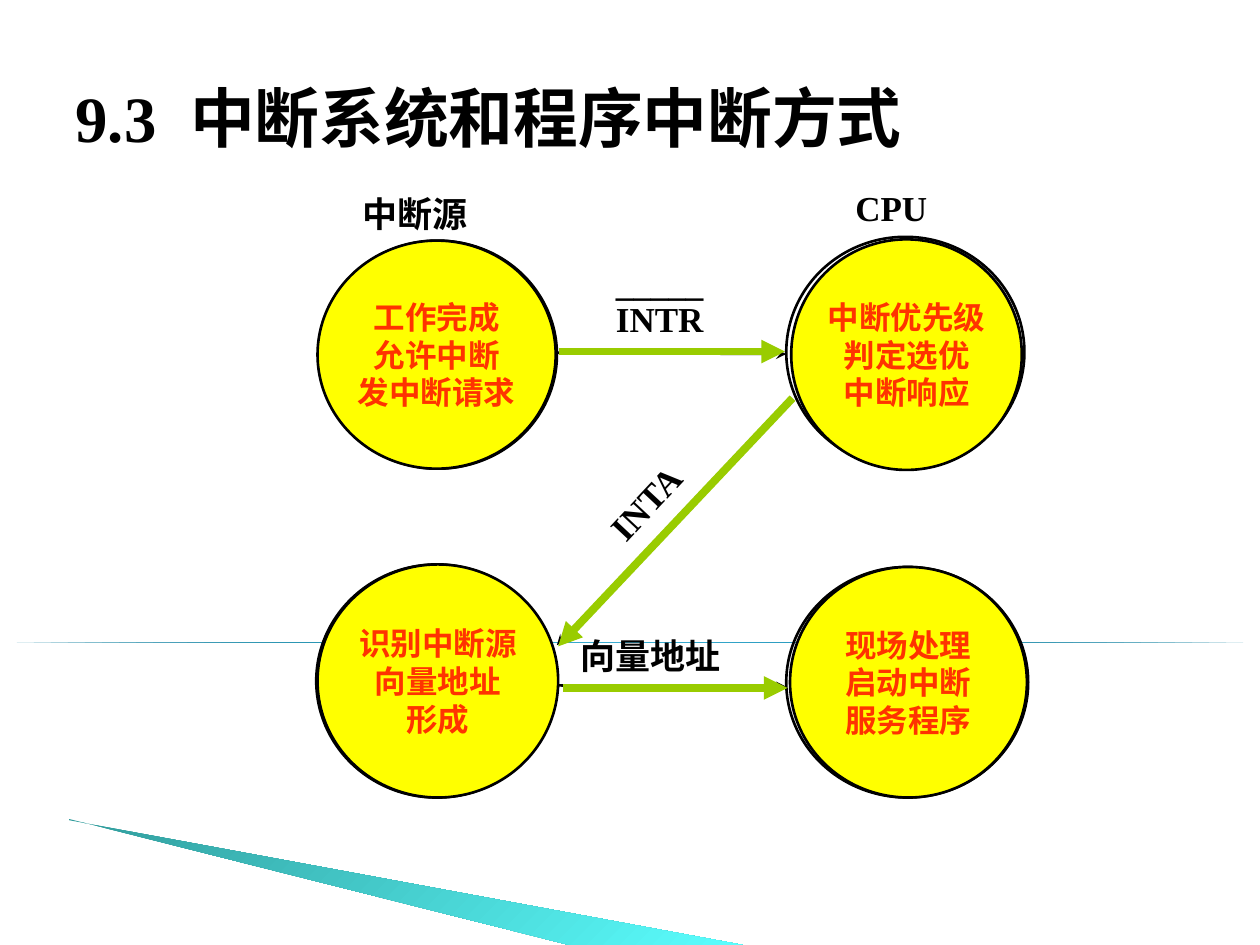
from lxml import etree
from pptx import Presentation
from pptx.dml.color import RGBColor
from pptx.enum.shapes import MSO_CONNECTOR, MSO_SHAPE
from pptx.enum.text import MSO_ANCHOR, MSO_AUTO_SIZE, PP_ALIGN
from pptx.oxml.ns import qn
from pptx.util import Inches, Pt

OVAL = MSO_SHAPE.OVAL
RIGHT_TRIANGLE = MSO_SHAPE.RIGHT_TRIANGLE
STRAIGHT = MSO_CONNECTOR.STRAIGHT
TOP, MIDDLE = MSO_ANCHOR.TOP, MSO_ANCHOR.MIDDLE
LEFT, CENTER = PP_ALIGN.LEFT, PP_ALIGN.CENTER
NO_AUTOFIT = MSO_AUTO_SIZE.NONE

BLACK = RGBColor(0x00, 0x00, 0x00)
YELLOW = RGBColor(0xFF, 0xFF, 0x00)
RED = RGBColor(0xFF, 0x33, 0x00)
GREEN = RGBColor(0x99, 0xCC, 0x00)
DARK_BLUE = RGBColor(0x00, 0x78, 0x97)
LIGHT_BLUE = RGBColor(0x4A, 0xBB, 0xE0)
DARK_TEAL = RGBColor(0x31, 0x9C, 0x9C)
CYAN = RGBColor(0x5B, 0xFF, 0xFF)

LATIN_FONT = "Times New Roman"
CHINESE_FONT = "Noto Sans CJK SC"
SLIDE_WIDTH, SLIDE_HEIGHT = Inches(10), Inches(7.5)
COLUMN, ROW = SLIDE_WIDTH / 100, SLIDE_HEIGHT / 75

TITLE = "9.3\t中断系统和程序中断方式"
TITLE_BOX = (5, 3, 90, 12.5)
TITLE_TAB = 9.1
HORIZON_BOX = (0, 51, 100, 0)
WEDGE = [(5.5, 65.1), (59.5, 75.1), (45.6, 75.1), (5.5, 65)]

STAGES = [
    {"lines": ["工作完成", "允许中断", "发中断请求"],
     "outline": (25.3, 19.1, 18.9, 18.1), "disc": (25.2, 19.1, 18.9, 18.1)},
    {"lines": ["中断优先级", "判定选优", "中断响应"],
     "outline": (62.4, 18.8, 18.9, 18.3), "disc": (62.8, 19, 18.3, 18.3)},
    {"lines": ["识别中断源", "向量地址", "形成"],
     "outline": (25.1, 44.8, 19.1, 18.5), "disc": (25.2, 44.8, 19.1, 18.5)},
    {"lines": ["现场处理", "启动中断", "服务程序"],
     "outline": (62.4, 45, 19.2, 18.3), "disc": (62.7, 45, 18.8, 18.3)},
]
THIN_ARROWS = [((44.2, 28), (62.4, 28.1)), ((44.2, 54.4), (62.4, 54.5)),
               ((62.4, 32), (44.2, 51.2))]
THICK_ARROWS = [((44.7, 54.6), (62.5, 54.6)), ((62.9, 31.6), (44.3, 51.3)),
                ((44.4, 27.9), (62.3, 27.9))]
LABELS = [
    (["向量地址"], (45.1, 49.6, 18.2, 4.4), {"line_spacing": Pt(26)}),
    (["_____", "INTR"], (47.9, 20.3, 14.6, 6.8), {"later_spacing": 0.2, "space_before": 12.5}),
    (["INTA"], (44.2, 37.7, 14, 4.4), {"rotation": 313.1, "align": CENTER, "anchor": MIDDLE}),
    (["中断源"], (27.8, 14.5, 16.6, 4.4), {"line_spacing": Pt(26)}),
    (["CPU"], (66.9, 14.3, 16, 4.4), {}),
]


def place(left, top, width, height):
    return tuple(round(value) for value in (left * COLUMN, top * ROW, width * COLUMN, height * ROW))


def write_text(shape, lines, size=20, color=BLACK, align=LEFT, anchor=TOP, wrap=True,
               line_spacing=None, later_spacing=None, space_before=0, rotation=0):
    shape.rotation = rotation
    frame = shape.text_frame
    frame.auto_size = NO_AUTOFIT
    frame.word_wrap = wrap
    frame.vertical_anchor = anchor
    for index, line in enumerate(lines):
        paragraph = frame.add_paragraph() if index else frame.paragraphs[0]
        paragraph.alignment = align
        paragraph.space_before = Pt(space_before if index else 0)
        paragraph.line_spacing = later_spacing if index and later_spacing else line_spacing
        run = paragraph.add_run()
        run.text = line
        run.font.name = LATIN_FONT
        run.font.size = Pt(size)
        run.font.bold = True
        run.font.color.rgb = color
        east_asian = etree.Element(qn("a:ea"), typeface=CHINESE_FONT)
        run.font._element.find(qn("a:latin")).addnext(east_asian)


def fill_gradient(shape, colors, angle):
    shape.shadow.inherit = False
    shape.line.fill.background()
    shape.fill.gradient()
    gradient = shape._element.spPr.find(qn("a:gradFill"))
    stops = gradient.find(qn("a:gsLst"))
    for stop in list(stops):
        stops.remove(stop)
    for index, color in enumerate(colors):
        position = round(100000 * index / (len(colors) - 1))
        stop = etree.SubElement(stops, qn("a:gs"), pos=str(position))
        etree.SubElement(stop, qn("a:srgbClr"), val=str(color))
    gradient.find(qn("a:lin")).set("ang", str(angle * 60000))


def add_circle(slide, box, fill=None):
    circle = slide.shapes.add_shape(OVAL, *place(*box))
    circle.shadow.inherit = False
    circle.line.color.rgb = BLACK
    circle.line.width = Pt(1.5)
    if fill is None:
        circle.fill.background()
    else:
        circle.fill.solid()
        circle.fill.fore_color.rgb = fill
    return circle


def add_arrow(slide, start, end, color, width, head):
    points = [round(value) for x, y in (start, end) for value in (x * COLUMN, y * ROW)]
    arrow = slide.shapes.add_connector(STRAIGHT, *points)
    arrow.line.color.rgb = color
    arrow.line.width = Pt(width)
    etree.SubElement(arrow.line._get_or_add_ln(), qn("a:tailEnd"), type=head)
    etree.SubElement(arrow._element.spPr, qn("a:effectLst"))


def add_backdrop(slide):
    horizon = slide.shapes.add_shape(RIGHT_TRIANGLE, *place(*HORIZON_BOX))
    fill_gradient(horizon, [DARK_BLUE, LIGHT_BLUE, DARK_BLUE], 50)
    points = [(round(x * COLUMN), round(y * ROW)) for x, y in WEDGE]
    builder = slide.shapes.build_freeform(*points[0])
    builder.add_line_segments(points[1:], close=True)
    fill_gradient(builder.convert_to_shape(), [DARK_TEAL, CYAN], 45)


def add_title(slide):
    title = slide.shapes.title
    title.left, title.top, title.width, title.height = place(*TITLE_BOX)
    properties = title.text_frame.paragraphs[0]._p.get_or_add_pPr()
    tabs = etree.SubElement(properties, qn("a:tabLst"))
    etree.SubElement(tabs, qn("a:tab"), pos=str(round(TITLE_TAB * COLUMN)), algn="l")
    write_text(title, [TITLE], size=37, anchor=MIDDLE)


def main():
    presentation = Presentation()
    presentation.slide_width, presentation.slide_height = SLIDE_WIDTH, SLIDE_HEIGHT
    slide = presentation.slides.add_slide(presentation.slide_layouts[5])
    add_backdrop(slide)
    add_title(slide)
    for stage in STAGES:
        add_circle(slide, stage["outline"])
    for start, end in THIN_ARROWS:
        add_arrow(slide, start, end, BLACK, 1.5, "stealth")
    for lines, box, text_format in LABELS:
        write_text(slide.shapes.add_textbox(*place(*box)), lines, **text_format)
    for start, end in THICK_ARROWS:
        add_arrow(slide, start, end, GREEN, 4.5, "triangle")
    for stage in STAGES:
        disc = add_circle(slide, stage["disc"], YELLOW)
        write_text(disc, stage["lines"], size=18, color=RED, align=CENTER, anchor=MIDDLE,
                   wrap=False, line_spacing=Pt(21.5))
    presentation.save("out.pptx")


if __name__ == "__main__":
    main()
